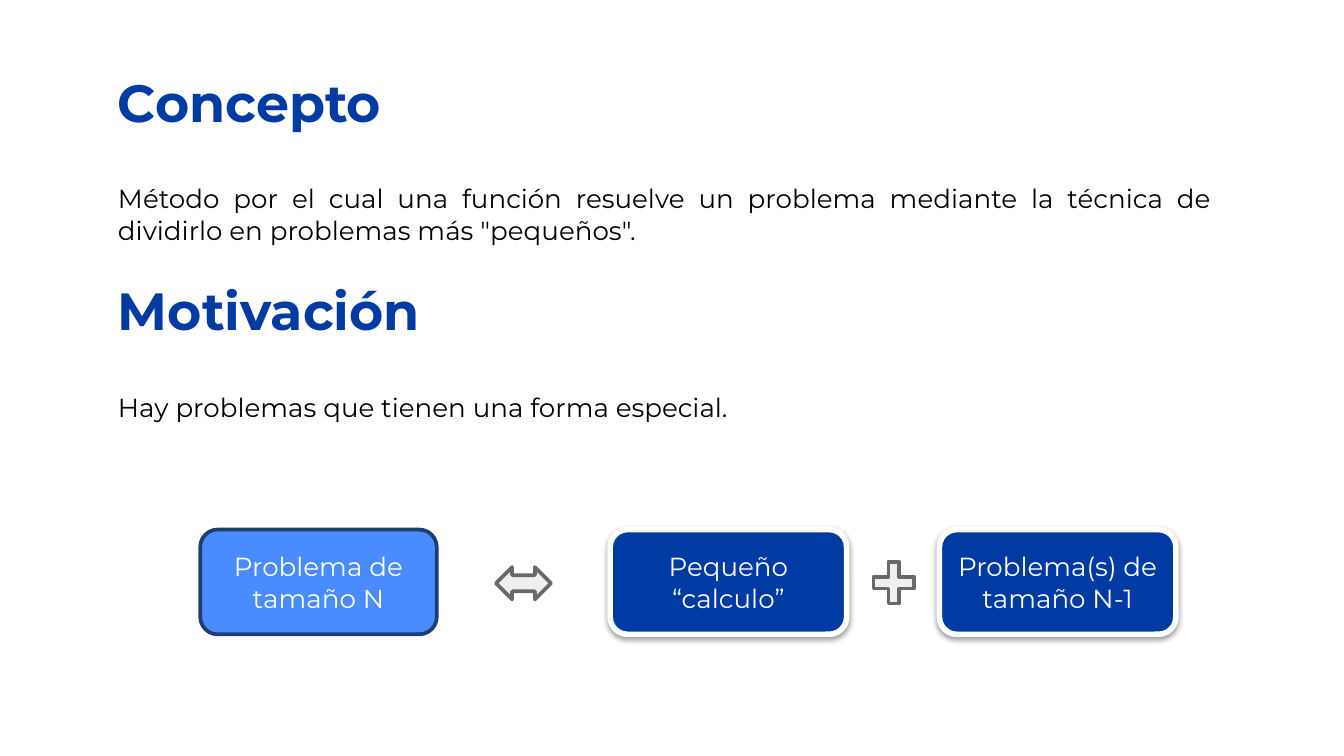
"""Build the slide on the concept of and motivation for recursion."""
from lxml.etree import SubElement
from pptx import Presentation
from pptx.dml.color import RGBColor
from pptx.enum.shapes import MSO_SHAPE as SHAPE
from pptx.enum.text import MSO_ANCHOR as ANCHOR, PP_ALIGN as ALIGN
from pptx.oxml.ns import qn
from pptx.util import Inches, Pt

BLUE = RGBColor(0x00, 0x3B, 0xA3)
LIGHT_BLUE = RGBColor(0x4A, 0x8C, 0xFF)
NAVY = RGBColor(0x20, 0x3D, 0x70)
GRAY = RGBColor(0x69, 0x69, 0x69)
PALE_GRAY = RGBColor(0xEF, 0xEF, 0xEF)
BLACK = RGBColor(0x00, 0x00, 0x00)
WHITE = RGBColor(0xFF, 0xFF, 0xFF)


def write(frame, text, size, color, align, bold=False):
    frame.word_wrap = True
    frame.text = text
    paragraph = frame.paragraphs[0]
    paragraph.alignment = align
    font = paragraph.runs[0].font
    font.name = "Montserrat"
    font.size = Pt(size)
    font.bold = bold
    font.color.rgb = color


def add_figure(kind, left, top, width, height, fill, line, weight):
    figure = slide.shapes.add_shape(
        kind, Inches(left), Inches(top), Inches(width), Inches(height))
    figure.shadow.inherit = False
    figure.fill.solid()
    figure.fill.fore_color.rgb = fill
    figure.line.color.rgb = line
    figure.line.width = Pt(weight)
    return figure


prs = Presentation()
prs.slide_width = Inches(10)
prs.slide_height = Inches(10 * 9 / 16)
slide = prs.slides.add_slide(prs.slide_layouts[6])

sections = [
    (0.42, "Concepto",
     "Método por el cual una función resuelve un problema mediante "
     "la técnica de  dividirlo en problemas más \"pequeños\"."),
    (1.97, "Motivación", "Hay problemas que tienen una forma especial."),
]
for top, heading, explanation in sections:
    for text, offset, height, style in [
        (heading, 0, 0.63, (28, BLUE, ALIGN.LEFT, True)),
        (explanation, 0.84, 0.78, (14, BLACK, ALIGN.JUSTIFY)),
    ]:
        frame = slide.shapes.add_textbox(
            Inches(0.78), Inches(top + offset), Inches(8.44), Inches(height)
        ).text_frame
        frame.margin_left = frame.margin_right = Inches(0.1)
        frame.margin_top = frame.margin_bottom = Inches(0.1)
        write(frame, text, *style)

problems = [
    (1.49, "Problema de tamaño N", LIGHT_BLUE, NAVY, 2, False),
    (4.54, "Pequeño “calculo”", BLUE, WHITE, 3, True),
    (6.99, "Problema(s) de tamaño N-1", BLUE, WHITE, 3, True),
]
for left, text, fill, line, weight, raised in problems:
    problem = add_figure(SHAPE.ROUNDED_RECTANGLE, left, 3.94, 1.76, 0.78,
                         fill, line, weight)
    problem.text_frame.vertical_anchor = ANCHOR.MIDDLE
    write(problem.text_frame, text, 14, WHITE, ALIGN.CENTER)
    if raised:
        effects = problem.element.spPr.find(qn("a:effectLst"))
        shadow = SubElement(
            effects, qn("a:outerShdw"), blurRad=str(Pt(3.1)),
            dist=str(Pt(1.6)), dir="5400000", rotWithShape="0")
        shade = SubElement(shadow, qn("a:srgbClr"), val=str(BLACK))
        SubElement(shade, qn("a:alpha"), val="38000")

add_figure(SHAPE.LEFT_RIGHT_ARROW, 3.69, 4.22, 0.41, 0.24, PALE_GRAY, GRAY, 2)
plus = add_figure(SHAPE.CROSS, 6.5, 4.18, 0.3, 0.31, PALE_GRAY, GRAY, 2)
plus.adjustments[0] = 0.37

prs.save("out.pptx")
